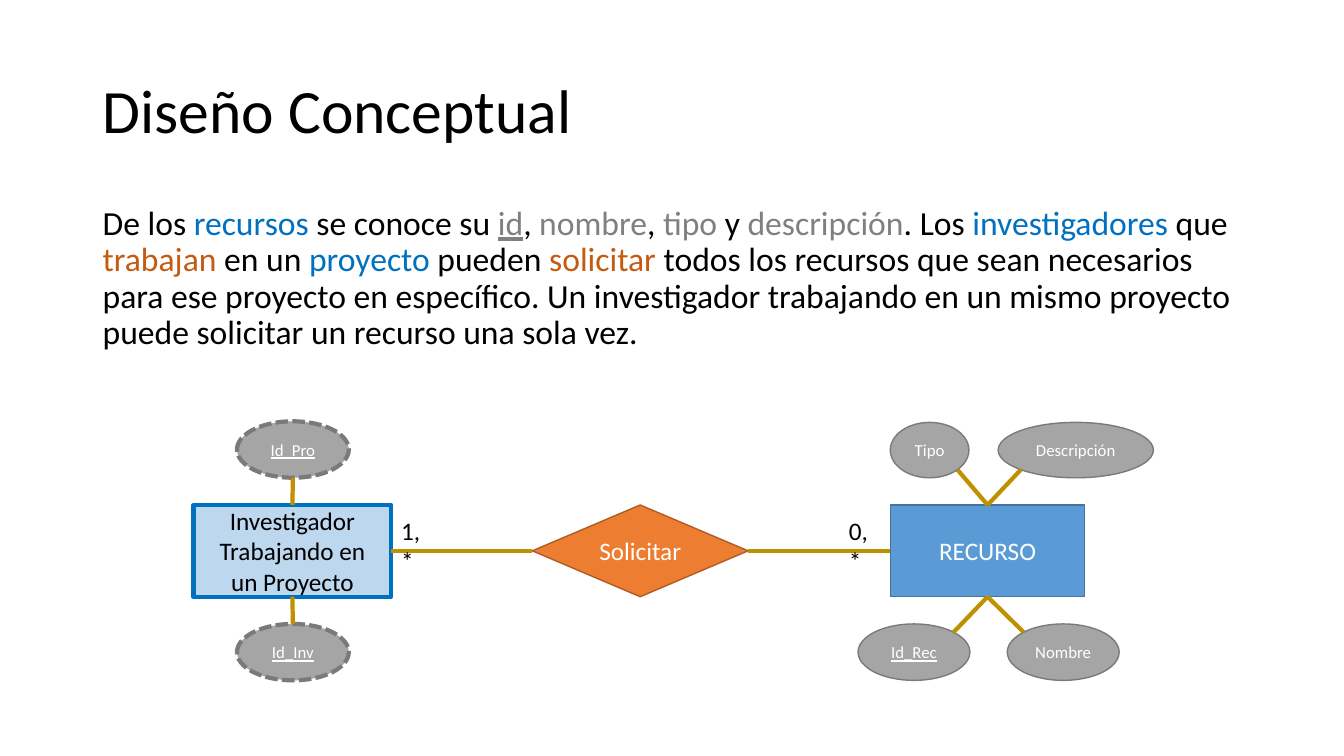
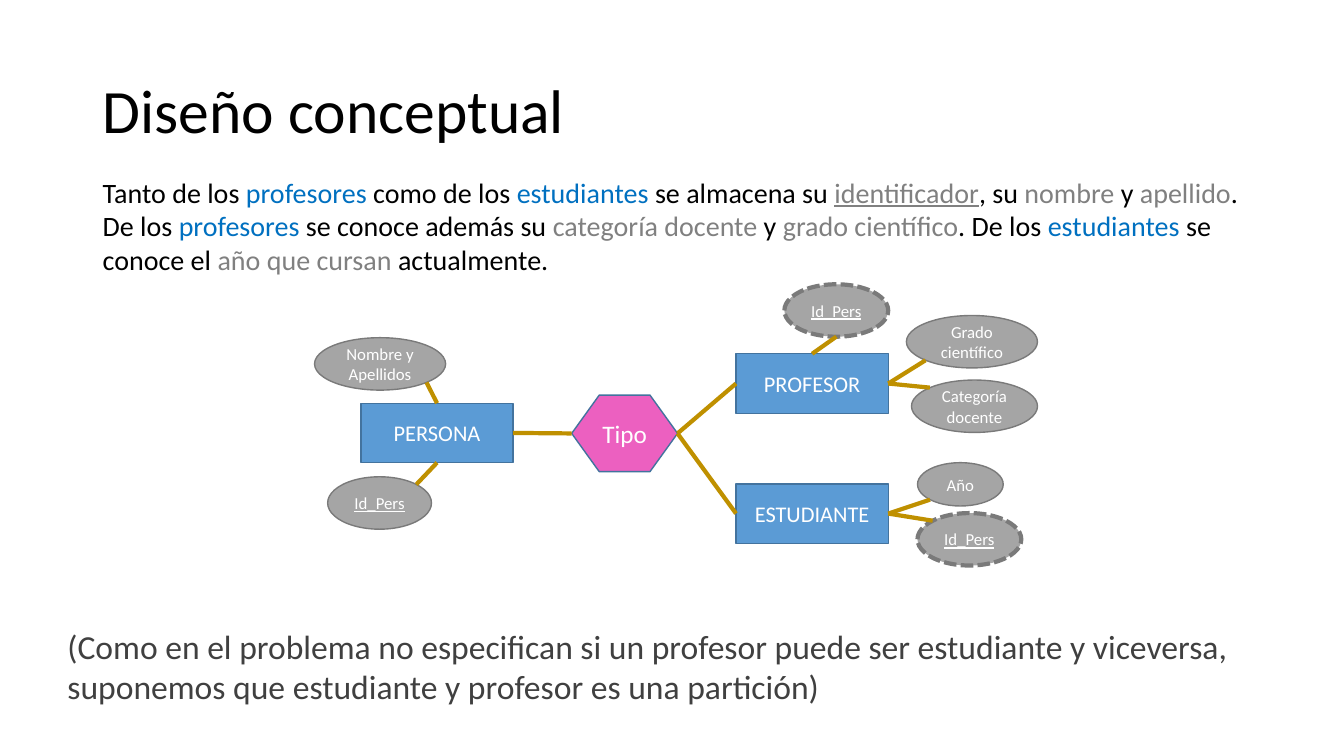
from lxml.etree import SubElement
from pptx import Presentation
from pptx.dml.color import RGBColor
from pptx.enum.dml import MSO_LINE
from pptx.enum.shapes import MSO_CONNECTOR, MSO_SHAPE
from pptx.enum.text import MSO_ANCHOR, PP_ALIGN
from pptx.oxml.ns import qn
from pptx.util import Inches, Pt

FONT = "Calibri"
BLACK = RGBColor(0x00, 0x00, 0x00)
WHITE = RGBColor(0xFF, 0xFF, 0xFF)
DARK_GRAY = RGBColor(0x40, 0x40, 0x40)
TEXT_GRAY = RGBColor(0x80, 0x80, 0x80)
TEXT_BLUE = RGBColor(0x00, 0x70, 0xC0)
TEXT_ORANGE = RGBColor(0xC5, 0x5A, 0x11)
GOLD = RGBColor(0xBF, 0x90, 0x00)
BLUE = RGBColor(0x5B, 0x9B, 0xD5)
BLUE_EDGE = RGBColor(0x43, 0x73, 0x9E)
PALE_BLUE = RGBColor(0xBD, 0xD7, 0xEE)
ORANGE = RGBColor(0xED, 0x7D, 0x31)
ORANGE_EDGE = RGBColor(0xAF, 0x5C, 0x24)
GRAY = RGBColor(0xA5, 0xA5, 0xA5)
GRAY_EDGE = RGBColor(0x7A, 0x7A, 0x7A)
PINK = RGBColor(0xEC, 0x60, 0xC0)

RUN_STYLES = {
    "plain": (BLACK, False),
    "entity": (TEXT_BLUE, False),
    "relation": (TEXT_ORANGE, False),
    "attribute": (TEXT_GRAY, False),
    "key": (TEXT_GRAY, True),
}

# kind: shape, fill, edge, edge width, dashed, text colour, size, underlined
NODE_STYLES = {
    "entity": (MSO_SHAPE.RECTANGLE, BLUE, BLUE_EDGE, 1, False, WHITE, 18, False),
    "subentity": (MSO_SHAPE.RECTANGLE, BLUE, BLUE_EDGE, 1, False, WHITE, 16, False),
    "aggregate": (MSO_SHAPE.RECTANGLE, PALE_BLUE, TEXT_BLUE, 3, False, BLACK, 18, False),
    "relation": (MSO_SHAPE.DIAMOND, ORANGE, ORANGE_EDGE, 1, False, WHITE, 18, False),
    "partition": (MSO_SHAPE.HEXAGON, PINK, BLUE_EDGE, 1, False, WHITE, 18, False),
    "attribute": (MSO_SHAPE.OVAL, GRAY, GRAY_EDGE, 1, False, WHITE, 12, False),
    "key": (MSO_SHAPE.OVAL, GRAY, GRAY_EDGE, 1, False, WHITE, 12, True),
    "foreign key": (MSO_SHAPE.OVAL, GRAY, GRAY_EDGE, 3, True, WHITE, 12, True),
}

SIDES = {"top": (0.5, 0), "left": (0, 0.5), "bottom": (0.5, 1), "right": (1, 0.5),
         "top left": (0.146, 0.146), "bottom left": (0.146, 0.854),
         "bottom right": (0.854, 0.854), "top right": (0.854, 0.146)}
FOUR_SITES = ["top", "left", "bottom", "right"]
SITES = {
    MSO_SHAPE.RECTANGLE: FOUR_SITES,
    MSO_SHAPE.DIAMOND: FOUR_SITES,
    MSO_SHAPE.HEXAGON: ["right", "bottom right", "bottom left", "left", "top left", "top right"],
    MSO_SHAPE.OVAL: ["top", "top left", "left", "bottom left",
                     "bottom", "bottom right", "right", "top right"],
}

SLIDES = [
    {
        "title": "Diseño Conceptual",
        "body": {"box": (0.92, 2, 11.5, 1.64), "size": 24, "spacing": 0.9, "runs": [
            ("De los ", "plain"), ("recursos ", "entity"), ("se conoce su ", "plain"),
            ("id", "key"), (",", "plain"), (" nombre", "attribute"), (", ", "plain"),
            ("tipo", "attribute"), (" y ", "plain"), ("descripción", "attribute"),
            (". Los ", "plain"), ("investigadores ", "entity"), ("que ", "plain"),
            ("trabajan ", "relation"), ("en un ", "plain"), ("proyecto ", "entity"),
            ("pueden ", "plain"), ("solicitar ", "relation"),
            ("todos los recursos que sean necesarios para ese proyecto en específico. "
             "Un investigador trabajando en un mismo proyecto puede solicitar "
             "un recurso una sola vez.", "plain"),
        ]},
        "nodes": {
            "recurso": ("entity", "RECURSO", (8.83, 5.01, 1.93, 0.91)),
            "investigador": ("aggregate", "Investigador Trabajando en un Proyecto",
                             (1.92, 5.01, 1.96, 0.91)),
            "solicitar": ("relation", "Solicitar", (5.28, 5.01, 2.14, 0.91)),
            "id_inv": ("foreign key", "Id_Inv", (2.35, 6.19, 1.11, 0.56)),
            "id_pro": ("foreign key", "Id_Pro", (2.35, 4.18, 1.11, 0.56)),
            "id_rec": ("key", "Id_Rec", (8.51, 6.19, 1.11, 0.56)),
            "nombre": ("attribute", "Nombre", (9.99, 6.19, 1.11, 0.56)),
            "tipo": ("attribute", "Tipo", (8.83, 4.19, 0.78, 0.55)),
            "descripcion": ("attribute", "Descripción", (9.9, 4.19, 1.54, 0.55)),
        },
        "links": [
            ("investigador", "right", "solicitar", "left"),
            ("solicitar", "right", "recurso", "left"),
            ("recurso", "top", "tipo", "bottom right"),
            ("recurso", "top", "descripcion", "bottom left"),
            ("recurso", "bottom", "id_rec", "top right"),
            ("recurso", "bottom", "nombre", "top left"),
            ("investigador", "top", "id_pro", "bottom"),
            ("investigador", "bottom", "id_inv", "top"),
        ],
        "texts": [
            ("1,*", (3.88, 5.06, 0.51, 0.4), 18, BLACK, False),
            ("0,*", (8.32, 5.06, 0.51, 0.4), 18, BLACK, False),
        ],
    },
    {
        "title": "Diseño conceptual",
        "body": {"box": (0.92, 1.69, 11.5, 1.4), "size": 20, "spacing": 1.0, "runs": [
            ("Tanto de los ", "plain"), ("profesores ", "entity"), ("como de los ", "plain"),
            ("estudiantes ", "entity"), ("se almacena su ", "plain"),
            ("identificador", "key"), (", su ", "plain"), ("nombre ", "attribute"),
            ("y ", "plain"), ("apellido", "attribute"), (". De los ", "plain"),
            ("profesores ", "entity"), ("se conoce además su ", "plain"),
            ("categoría docente", "attribute"), (" y ", "plain"),
            ("grado científico", "attribute"), (". De los ", "plain"),
            ("estudiantes ", "entity"), ("se conoce el ", "plain"),
            ("año que cursan", "attribute"), (" actualmente.", "plain"),
        ]},
        "nodes": {
            "persona": ("subentity", "PERSONA", (3.58, 4, 1.51, 0.59)),
            "profesor": ("subentity", "PROFESOR", (7.3, 3.51, 1.51, 0.59)),
            "estudiante": ("subentity", "ESTUDIANTE", (7.3, 4.8, 1.51, 0.59)),
            "tipo": ("partition", "Tipo", (5.67, 3.92, 1.05, 0.76)),
            "id_persona": ("key", "Id_Pers", (3.25, 4.73, 1.03, 0.52)),
            "nombre": ("attribute", "Nombre y Apellidos", (3.12, 3.35, 1.3, 0.52)),
            "categoria": ("attribute", "Categoría docente", (9.04, 3.77, 1.25, 0.52)),
            "grado": ("attribute", "Grado científico", (8.99, 3.13, 1.3, 0.52)),
            "año": ("attribute", "Año", (9.1, 4.59, 0.85, 0.43)),
            "id_profesor": ("foreign key", "Id_Pers", (7.78, 2.82, 1.03, 0.52)),
            "id_estudiante": ("foreign key", "Id_Pers", (9.1, 5.09, 1.03, 0.52)),
        },
        "links": [
            ("persona", "top", "nombre", "bottom right"),
            ("persona", "bottom", "id_persona", "top right"),
            ("persona", "right", "tipo", "left"),
            ("tipo", "right", "profesor", "left"),
            ("tipo", "right", "estudiante", "left"),
            ("profesor", "top", "id_profesor", "bottom"),
            ("profesor", "right", "grado", "bottom left"),
            ("profesor", "right", "categoria", "top left"),
            ("estudiante", "right", "año", "bottom left"),
            ("estudiante", "right", "id_estudiante", "top left"),
        ],
        "texts": [
            ("(Como en el problema no especifican si un profesor puede ser estudiante "
             "y viceversa, suponemos que estudiante y profesor es una partición)",
             (0.57, 6.16, 12.19, 0.91), 24, DARK_GRAY, True),
        ],
    },
]


def to_inches(box):
    return [Inches(value) for value in box]


def set_font(paragraph, size, color=None, underline=None):
    font = paragraph.font
    font.name = FONT
    font.size = Pt(size)
    font.underline = underline
    if color is not None:
        font.color.rgb = color


def add_title(slide, text):
    title = slide.shapes.title
    title.left, title.top, title.width, title.height = to_inches((0.92, 0.4, 11.5, 1.45))
    title.text_frame.text = text
    title.text_frame.vertical_anchor = MSO_ANCHOR.MIDDLE
    paragraph = title.text_frame.paragraphs[0]
    paragraph.alignment = PP_ALIGN.LEFT
    paragraph.line_spacing = 0.9
    set_font(paragraph, 44, BLACK)


def add_body(slide, body):
    frame = slide.shapes.add_textbox(*to_inches(body["box"])).text_frame
    frame.word_wrap = True
    paragraph = frame.paragraphs[0]
    paragraph.line_spacing = body["spacing"]
    set_font(paragraph, body["size"])
    for text, style in body["runs"]:
        run = paragraph.add_run()
        run.text = text
        run.font.color.rgb, run.font.underline = RUN_STYLES[style]


def add_text(slide, text, box, size, color, wrap):
    frame = slide.shapes.add_textbox(*to_inches(box)).text_frame
    frame.word_wrap = wrap
    frame.text = text
    set_font(frame.paragraphs[0], size, color)


def add_node(slide, kind, text, box):
    preset, fill, edge, edge_width, dashed, color, size, underline = NODE_STYLES[kind]
    shape = slide.shapes.add_shape(preset, *to_inches(box))
    shape.shadow.inherit = False
    shape.fill.solid()
    shape.fill.fore_color.rgb = fill
    shape.line.color.rgb = edge
    shape.line.width = Pt(edge_width)
    if dashed:
        shape.line.dash_style = MSO_LINE.SQUARE_DOT
    if preset == MSO_SHAPE.HEXAGON:
        shape.adjustments[0] = 0.36
    frame = shape.text_frame
    frame.word_wrap = True
    frame.vertical_anchor = MSO_ANCHOR.MIDDLE
    frame.text = text
    paragraph = frame.paragraphs[0]
    paragraph.alignment = PP_ALIGN.CENTER
    set_font(paragraph, size, color, underline)
    return shape


def side_point(shape, side):
    across, down = SIDES[side]
    return int(shape.left + across * shape.width), int(shape.top + down * shape.height)


def add_link(slide, start, start_side, end, end_side):
    connector = slide.shapes.add_connector(
        MSO_CONNECTOR.STRAIGHT, *side_point(start, start_side), *side_point(end, end_side))
    connector.line.color.rgb = GOLD
    connector.line.width = Pt(3)
    element = connector._element
    SubElement(element.spPr, qn("a:effectLst"))
    joints = element.find(".//" + qn("p:cNvCxnSpPr"))
    for tag, shape, side in (("a:stCxn", start, start_side), ("a:endCxn", end, end_side)):
        site = SITES[shape.auto_shape_type].index(side)
        SubElement(joints, qn(tag), id=str(shape.shape_id), idx=str(site))


def main():
    presentation = Presentation()
    presentation.slide_width = Inches(13.33)
    presentation.slide_height = Inches(7.5)
    for content in SLIDES:
        slide = presentation.slides.add_slide(presentation.slide_layouts[5])
        add_title(slide, content["title"])
        add_body(slide, content["body"])
        nodes = {name: add_node(slide, *node) for name, node in content["nodes"].items()}
        for start, start_side, end, end_side in content["links"]:
            add_link(slide, nodes[start], start_side, nodes[end], end_side)
        for text in content["texts"]:
            add_text(slide, *text)
    presentation.save("out.pptx")


if __name__ == "__main__":
    main()
